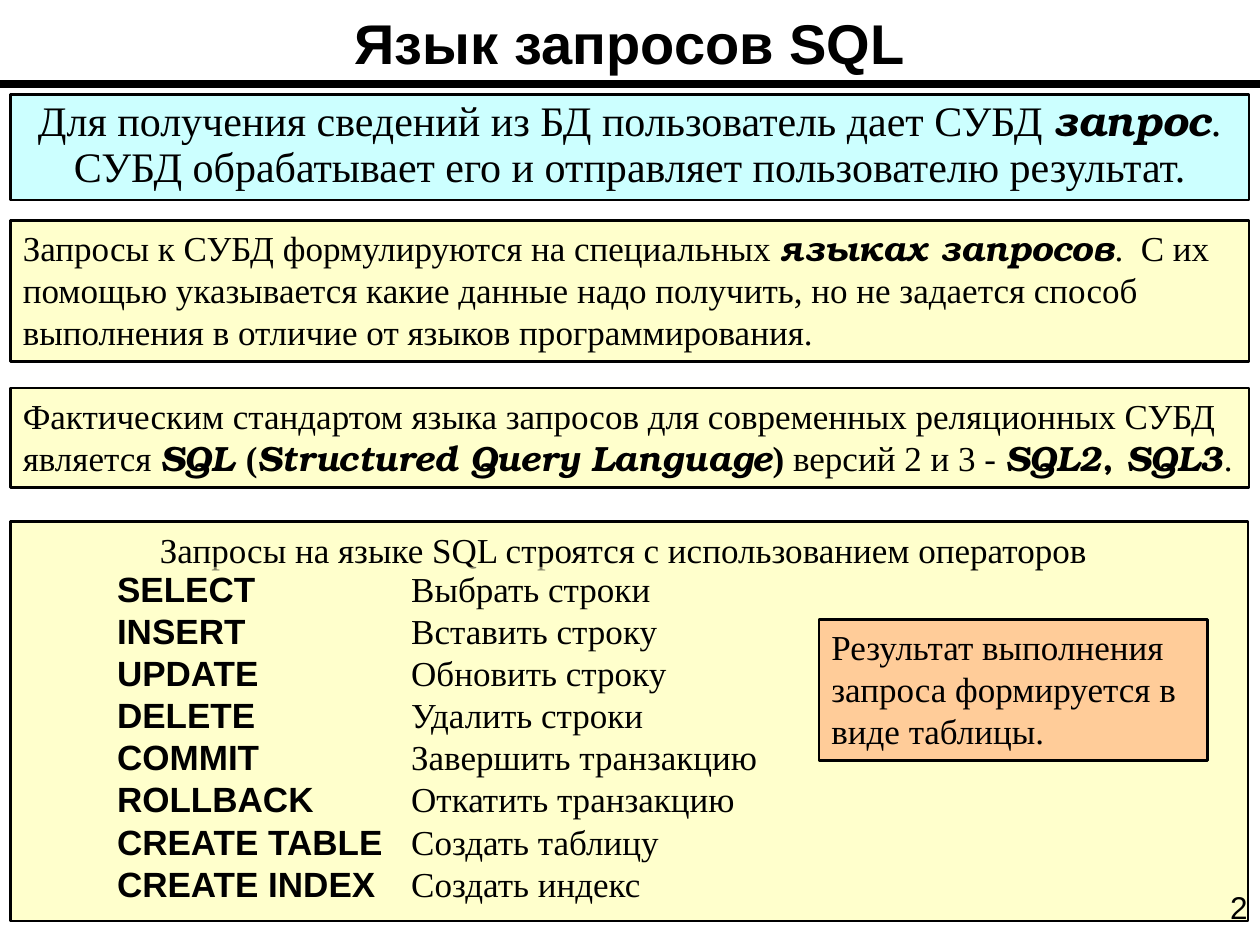
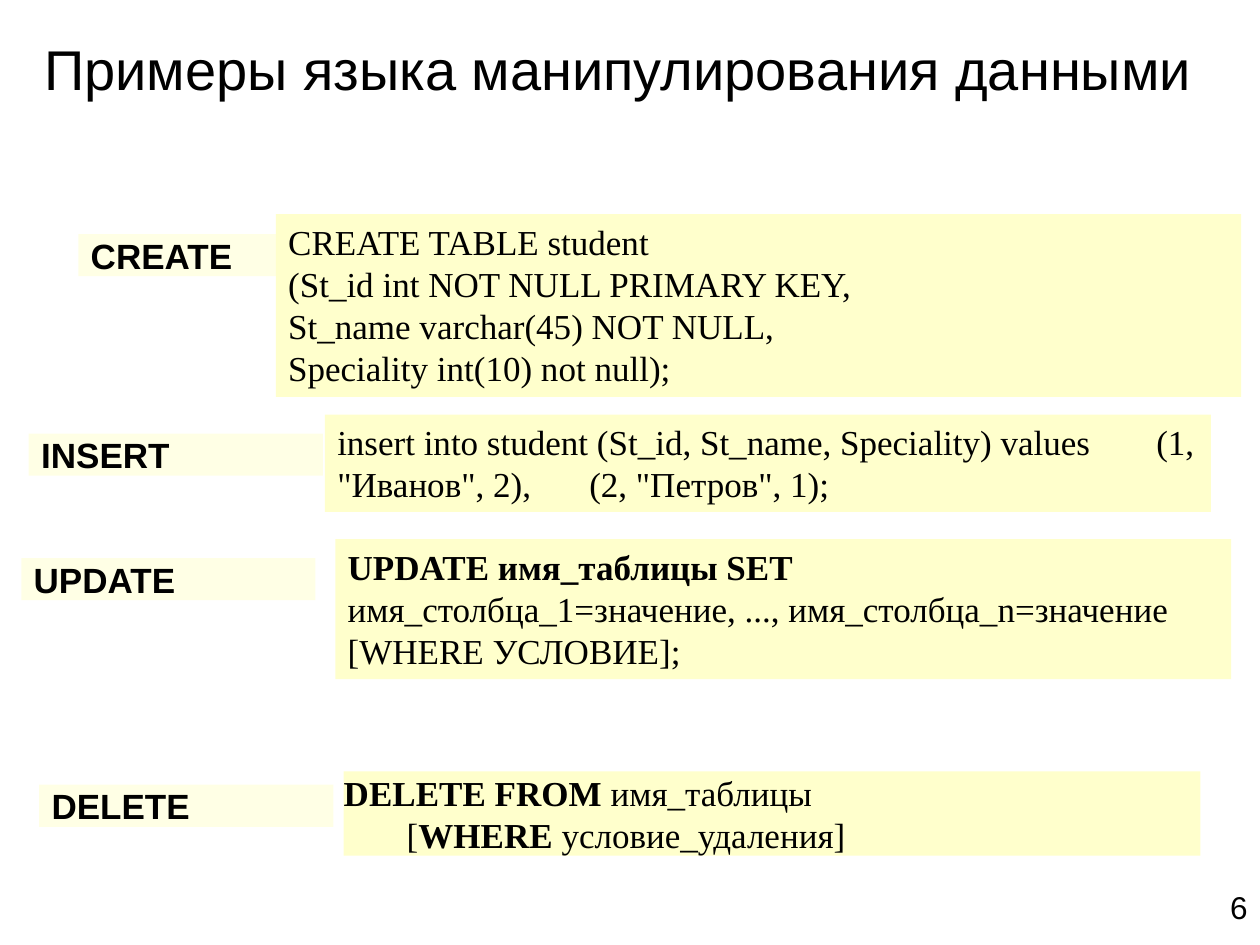
import pptx
import pptx.dml.color
import pptx.enum.shapes
import pptx.enum.text
import pptx.oxml
import pptx.oxml.ns
import pptx.util
import lxml.etree

Cm = pptx.util.Cm
Align = pptx.enum.text.PP_ALIGN
Anchor = pptx.enum.text.MSO_ANCHOR
AutoSize = pptx.enum.text.MSO_AUTO_SIZE
qn = pptx.oxml.ns.qn

SANS = "Arial"
SERIF = "Times New Roman"
ACCENT = "TeX Gyre Bonum"
BLACK = "000000"
CREAM = "FFFFCC"
CYAN = "CCFFFF"
PEACH = "FFCC99"

SLIDE_WIDTH, SLIDE_HEIGHT = 25.4, 19.05
PANEL_LEFT, PANEL_WIDTH = 0.21, 24.97
LABEL_WIDTH, ROW_HEIGHT = 5.93, 0.85

BOLD = {"bold": True}
TERM = {"font": ACCENT, "bold": True, "italic": True}


def color(value):
    return pptx.dml.color.RGBColor.from_string(value)


class Deck:
    def __init__(self):
        self.presentation = pptx.Presentation()
        self.presentation.slide_width = Cm(SLIDE_WIDTH)
        self.presentation.slide_height = Cm(SLIDE_HEIGHT)
        self.slide = None

    def new_slide(self):
        blank = self.presentation.slide_layouts[6]
        self.slide = self.presentation.slides.add_slide(blank)

    def set_text(self, shape, paragraphs, size=20, font=SERIF, bold=False, align=Align.LEFT,
                 anchor=Anchor.TOP, wrap=True, grow=False, spacing=None):
        frame = shape.text_frame
        frame.word_wrap = wrap
        frame.vertical_anchor = anchor
        frame.auto_size = AutoSize.SHAPE_TO_FIT_TEXT if grow else AutoSize.NONE
        if isinstance(paragraphs, str):
            paragraphs = [paragraphs]
        for index, pieces in enumerate(paragraphs):
            paragraph = frame.add_paragraph() if index else frame.paragraphs[0]
            paragraph.alignment = align
            if spacing:
                paragraph.line_spacing = spacing
            if isinstance(pieces, str):
                pieces = [(pieces, {})]
            for text, style in pieces:
                run = paragraph.add_run()
                run.text = text
                run.font.name = style.get("font", font)
                run.font.size = pptx.util.Pt(size)
                run.font.bold = style.get("bold", bold)
                run.font.italic = style.get("italic", False)
                run.font.color.rgb = color(BLACK)

    def text(self, left, top, width, height, content, **style):
        shape = self.slide.shapes.add_textbox(Cm(left), Cm(top), Cm(width), Cm(height))
        self.set_text(shape, content, font=SANS, **style)

    def box(self, left, top, width, height, content=None, fill=CREAM, outline=False,
            alpha=None, **style):
        shape = self.slide.shapes.add_shape(
            pptx.enum.shapes.MSO_SHAPE.RECTANGLE, Cm(left), Cm(top), Cm(width), Cm(height))
        shape.shadow.inherit = False
        shape.fill.solid()
        shape.fill.fore_color.rgb = color(fill)
        if alpha:
            fill_color = shape._element.spPr.find(qn("a:solidFill")).find(qn("a:srgbClr"))
            lxml.etree.SubElement(fill_color, qn("a:alpha"), val=str(alpha * 1000))
        if outline:
            shape.line.color.rgb = color(BLACK)
            shape.line.width = pptx.util.Pt(1.5)
        else:
            shape.line.fill.background()
        if content:
            self.set_text(shape, content, **style)
        return shape

    def panel(self, top, height, content=None, left=PANEL_LEFT, width=PANEL_WIDTH, **style):
        self.box(left, top, width, height, content, outline=True, grow=True, **style)

    def cell(self, left, top, width, content, **style):
        self.box(left, top, width, ROW_HEIGHT, content, alpha=50,
                 anchor=Anchor.MIDDLE, wrap=False, **style)

    def label(self, left, top, keyword):
        self.cell(left, top, LABEL_WIDTH, keyword, font=SANS, bold=True)

    def rule(self, top):
        connector = self.slide.shapes.add_connector(
            pptx.enum.shapes.MSO_CONNECTOR.STRAIGHT, 0, Cm(top), Cm(SLIDE_WIDTH), Cm(top))
        connector.line.color.rgb = color(BLACK)
        connector.line.width = pptx.util.Pt(4.5)
        lxml.etree.SubElement(connector._element.spPr, qn("a:effectLst"))

    def page_number(self, number):
        self.text(23.42, 17.78, 1.98, 1.27, number, size=18, align=Align.RIGHT)


def build_query_language(deck):
    deck.new_slide()
    deck.rule(1.7)
    deck.text(0, 0, SLIDE_WIDTH, 1.7, "Язык запросов SQL", size=32, bold=True,
              align=Align.CENTER, anchor=Anchor.MIDDLE)
    deck.panel(1.9, 2.13, [[
        ("Для получения сведений из БД пользователь дает СУБД ", {}),
        ("запрос", TERM),
        (". СУБД обрабатывает его и отправляет пользователю результат.", {}),
    ]], fill=CYAN, size=24, align=Align.CENTER, spacing=0.9)
    deck.panel(4.45, 2.84, [[
        ("Запросы к СУБД формулируются на специальных ", {}),
        ("языках запросов", TERM),
        (".  С их помощью указывается какие данные надо получить, но не задается "
         "способ выполнения в отличие от языков программирования.", {}),
    ]])
    deck.panel(7.82, 2.01, [[
        ("Фактическим стандартом языка запросов для современных реляционных СУБД является ", {}),
        ("SQL ", TERM),
        ("(", BOLD),
        ("Structured Query Language", TERM),
        (") ", BOLD),
        ("версий 2 и 3 - ", {}),
        ("SQL2", TERM),
        (", ", {"font": ACCENT, "bold": True}),
        ("SQL3", TERM),
        (".", {}),
    ]])
    deck.box(PANEL_LEFT, 10.52, PANEL_WIDTH - 0.02, 8.05, outline=True)
    deck.box(0.43, 10.64, 24.28, 0.86,
             "Запросы на языке SQL строятся с использованием операторов",
             align=Align.CENTER, anchor=Anchor.MIDDLE, wrap=False)
    operators = [
        ("SELECT", "Выбрать строки"),
        ("INSERT", "Вставить строку"),
        ("UPDATE", "Обновить строку"),
        ("DELETE", "Удалить строки"),
        ("COMMIT", "Завершить транзакцию"),
        ("ROLLBACK", "Откатить транзакцию"),
        ("CREATE TABLE", "Создать таблицу"),
        ("CREATE INDEX", "Создать индекс"),
    ]
    for row, (operator, meaning) in enumerate(operators):
        top = 11.43 + row * ROW_HEIGHT
        deck.label(2.11, top, operator)
        deck.cell(2.11 + LABEL_WIDTH, top, 7.83, meaning)
    deck.panel(12.49, 2.84, "Результат выполнения запроса формируется в виде таблицы.",
               left=16.51, width=7.83, fill=PEACH)
    deck.page_number("2")


def build_examples(deck):
    deck.new_slide()
    examples = [
        ("CREATE", (1.58, 4.72), (5.56, 4.32, 19.46, 3.68), [
            "CREATE TABLE student",
            "(St_id int NOT NULL PRIMARY KEY,",
            "St_name varchar(45) NOT NULL,",
            "Speciality int(10) not null);",
        ]),
        ("INSERT", (0.58, 8.74), (6.55, 8.36, 17.86, 1.96),
         "insert into student (St_id, St_name, Speciality) values "
         "\t(1, \"Иванов\", 2),\t(2, \"Петров\", 1);"),
        ("UPDATE", (0.43, 11.25), (6.76, 10.87, 18.06, 2.82), [
            [("UPDATE имя_таблицы SET", BOLD)],
            "имя_столбца_1=значение, ..., имя_столбца_n=значение [WHERE УСЛОВИЕ];",
        ]),
    ]
    for keyword, label_place, code_place, code in examples:
        deck.label(*label_place, keyword)
        deck.box(*code_place, code, grow=True)
    deck.label(0.79, 15.82, "DELETE")
    deletion = deck.box(6.93, 15.55, 17.27, 1.7, [
        [("DELETE FROM ", BOLD), ("имя_таблицы", {})],
        [("\t[", {}), ("WHERE ", BOLD), ("условие_удаления]", {})],
    ], anchor=Anchor.MIDDLE, grow=True)
    frame = deletion.text_frame
    frame.margin_left = frame.margin_top = frame.margin_right = frame.margin_bottom = 0
    deck.page_number("6")
    deck.text(0.64, 0.58, 24.16, 1.63, "Примеры языка манипулирования данными",
              size=32, wrap=False, grow=True)


def main():
    deck = Deck()
    build_query_language(deck)
    build_examples(deck)
    deck.presentation.save("out.pptx")


if __name__ == "__main__":
    main()
